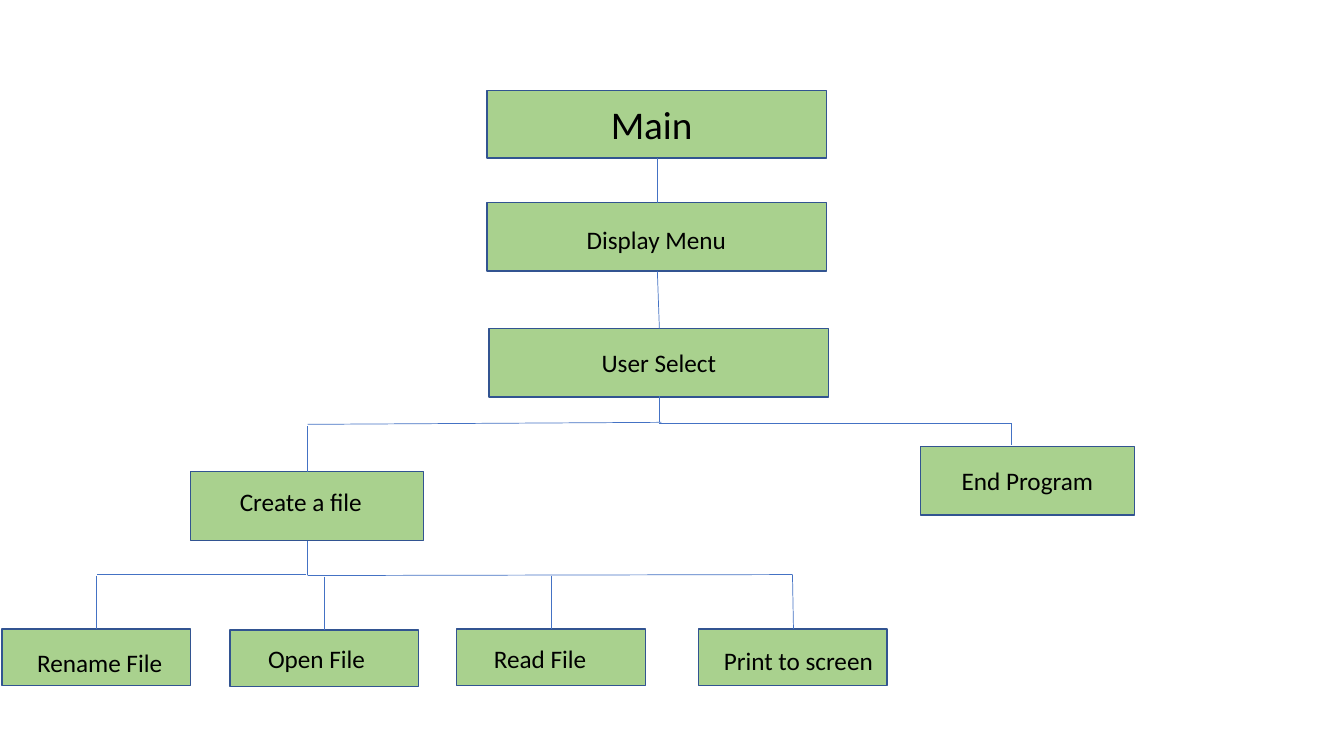
from pptx import Presentation
from pptx import util as u
from pptx.dml import color
from pptx.enum import shapes, text
from pptx.oxml import ns
from lxml import etree

COLORS = {"fill": "A9D18E", "border": "325491", "line": "4472C4", "text": "000000"}
PX = 9144


class Chart:
    """Draw the boxes, labels and lines of a structure chart, at 100 px to the inch."""

    font = "Calibri"

    def __init__(self, prs):
        self.s = prs.slides.add_slide(prs.slide_layouts[6])

    def rgb(self, name):
        return color.RGBColor.from_string(COLORS[name])

    def add_words(self, p, words, size):
        r = p.add_run()
        r.text = words
        r.font.name = self.font
        r.font.size = u.Pt(size)
        r.font.color.rgb = self.rgb("text")

    def box(self, x, y, w, h, words=None):
        sp = self.s.shapes.add_shape(
            shapes.MSO_SHAPE.RECTANGLE, *(v * PX for v in (x, y, w, h)))
        sp.shadow.inherit = False
        sp.fill.solid()
        sp.fill.fore_color.rgb = self.rgb("fill")
        sp.line.color.rgb = self.rgb("border")
        sp.line.width = u.Pt(1)
        if words:
            tf = sp.text_frame
            tf.vertical_anchor = text.MSO_ANCHOR.MIDDLE
            p = tf.paragraphs[0]
            p.alignment = text.PP_ALIGN.CENTER
            self.add_words(p, words, 18)

    def label(self, x, y, w, h, words, size=18):
        sp = self.s.shapes.add_textbox(*(v * PX for v in (x, y, w, h)))
        tf = sp.text_frame
        tf.word_wrap = True
        self.add_words(tf.paragraphs[0], words, size)

    def line(self, x1, y1, x2, y2):
        c = self.s.shapes.add_connector(
            shapes.MSO_CONNECTOR.STRAIGHT, *(v * PX for v in (x1, y1, x2, y2)))
        c.line.color.rgb = self.rgb("line")
        c.line.width = u.Pt(0.5)
        etree.SubElement(c._element.spPr, ns.qn("a:effectLst"))


def main():
    prs = Presentation()
    prs.slide_width, prs.slide_height = 1333 * PX, 750 * PX
    chart = Chart(prs)

    chart.box(483, 90, 337, 67)
    chart.label(596, 95, 140, 56, "Main", 28)
    chart.box(483, 201, 337, 68)
    chart.label(572, 218, 190, 40, "Display Menu")
    chart.box(485, 326, 337, 68, "User Select")
    chart.box(913, 443, 212, 68, "End Program")
    chart.box(189, 468, 231, 68)
    chart.label(228, 478, 153, 40, "Create a file")

    actions = [
        (2, 624, 27, 637, 147, "Rename File"),
        (228, 625, 256, 633, 139, "Open File"),
        (453, 624, 480, 633, 127, "Read File"),
        (693, 624, 708, 635, 172, "Print to screen"),
    ]
    for x, y, label_x, label_y, label_w, words in actions:
        chart.box(x, y, 187, 56)
        chart.label(label_x, label_y, label_w, 40, words)

    trunk = [(652, 157, 652, 201), (652, 269, 654, 326), (654, 393, 654, 419)]
    choices = [(654, 420, 1003, 420), (1003, 420, 1003, 441),
               (656, 419, 305, 421), (305, 423, 305, 468)]
    file_bus = [(305, 537, 305, 570), (305, 571, 786, 570), (304, 570, 96, 570)]
    drops = [(96, 571, 96, 624), (322, 572, 322, 625),
             (547, 571, 547, 624), (786, 570, 787, 624)]
    for ends in trunk + choices + file_bus + drops:
        chart.line(*ends)

    prs.save("out.pptx")


if __name__ == "__main__":
    main()
